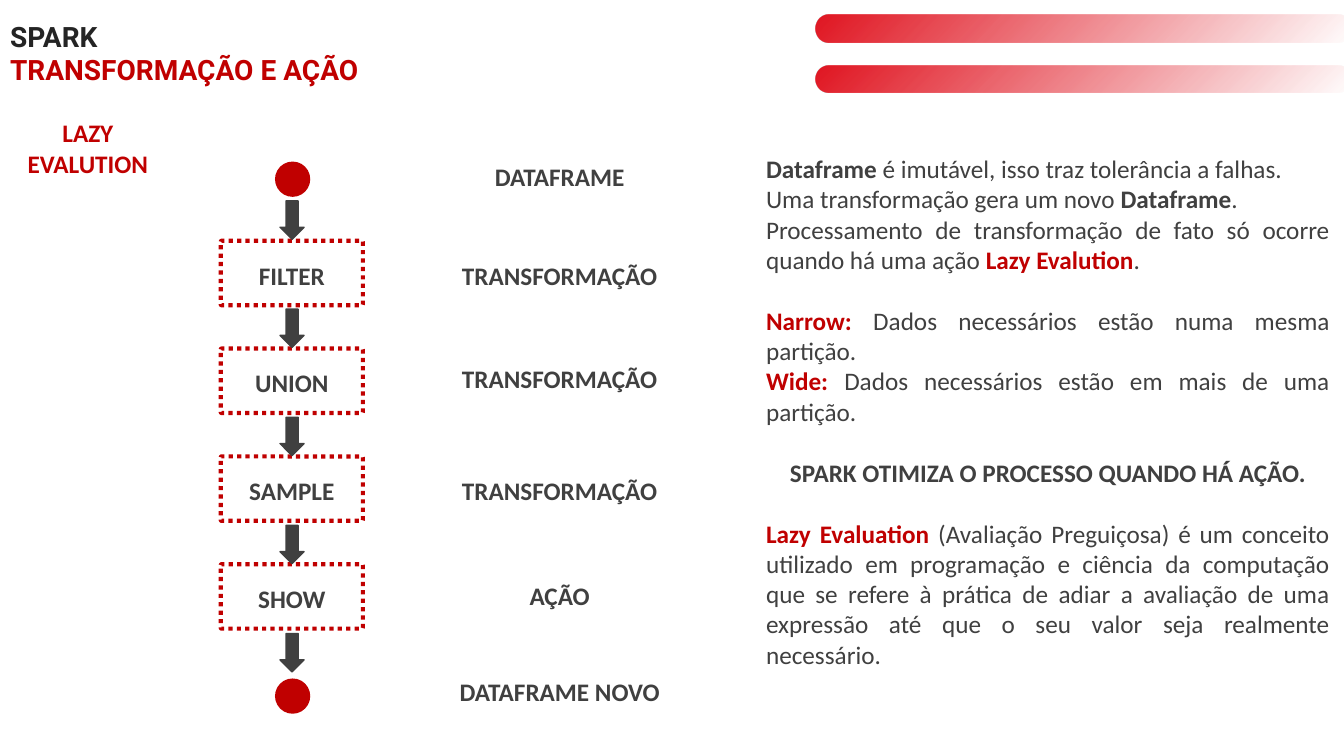
from dataclasses import dataclass
from typing import Any

from lxml.etree import SubElement
from pptx import Presentation
from pptx.dml.color import RGBColor as RGB
from pptx.enum.dml import MSO_LINE
from pptx.enum.shapes import MSO_SHAPE as SHAPE
from pptx.enum.text import MSO_ANCHOR as ANCHOR, MSO_AUTO_SIZE as AUTO, PP_ALIGN as ALIGN
from pptx.oxml import parse_xml
from pptx.oxml.ns import nsdecls, qn
from pptx.util import Pt

COLORS = {"red": "C00000", "pill": "E11622", "gray": "404040", "black": "242424"}
TEXT = {"name": "Calibri", "size": Pt(18)}
TITLE = {"name": "Roboto", "size": Pt(20)}
BLANK_LINE = 22


@dataclass(frozen=True)
class Box:
    left: float
    top: float
    width: float
    height: float

    def lengths(self) -> list[Pt]:
        return [Pt(v) for v in (self.left, self.top, self.width, self.height)]


@dataclass(frozen=True)
class Run:
    text: str
    color: str = "gray"
    bold: bool = False


@dataclass(frozen=True)
class Para:
    runs: tuple[Run, ...]
    align: Any = ALIGN.JUSTIFY
    before: float = 0


@dataclass(frozen=True)
class Label:
    text: str
    top: float


def set_all(target: Any, values: dict[str, Any]) -> None:
    for name, value in values.items():
        setattr(target, name, value)


def write(tf: Any, paras: list[Para], font: dict[str, Any], anchor: Any = ANCHOR.TOP,
          auto: Any = AUTO.SHAPE_TO_FIT_TEXT) -> None:
    set_all(tf, {"word_wrap": True, "auto_size": auto, "vertical_anchor": anchor})
    for i, para in enumerate(paras):
        p = tf.paragraphs[0] if i == 0 else tf.add_paragraph()
        set_all(p, {"alignment": para.align, "space_before": Pt(para.before)})
        for run in para.runs:
            r = p.add_run()
            r.text = run.text
            set_all(r.font, {**font, "bold": run.bold})
            r.font.color.rgb = RGB.from_string(COLORS[run.color])


def heading(text: str, color: str = "gray", align: Any = ALIGN.CENTER) -> Para:
    return Para((Run(text, color, True),), align)


def place(sp: Any, box: Box) -> None:
    set_all(sp, dict(zip(("left", "top", "width", "height"), box.lengths())))


def add_text(slide: Any, box: Box, paras: list[Para]) -> None:
    write(slide.shapes.add_textbox(*box.lengths()).text_frame, paras, TEXT)


def add_shape(slide: Any, kind: Any, box: Box, fill: str = "", line: str = "", weight: float = 1) -> Any:
    sp = slide.shapes.add_shape(kind, *box.lengths())
    sp.shadow.inherit = False
    if fill:
        sp.fill.solid()
        sp.fill.fore_color.rgb = RGB.from_string(COLORS[fill])
    else:
        sp.fill.background()
    if line:
        sp.line.color.rgb = RGB.from_string(COLORS[line])
        sp.line.width = Pt(weight)
    else:
        sp.line.fill.background()
    return sp


def add_pill(slide: Any, box: Box) -> None:
    """Draw a rounded bar that fades out towards its right end."""
    sp = add_shape(slide, SHAPE.ROUNDED_RECTANGLE, box)
    sp.adjustments[0] = 0.5
    stops = "".join(
        f'<a:gs pos="{n * 1000}"><a:srgbClr val="{COLORS["pill"]}">'
        f'<a:alpha val="{n * 1000}"/></a:srgbClr></a:gs>' for n in range(0, 101, 25))
    grad = parse_xml(
        f'<a:gradFill {nsdecls("a")} rotWithShape="1"><a:gsLst>{stops}</a:gsLst>'
        '<a:path path="circle"><a:fillToRect l="100000" t="100000"/></a:path></a:gradFill>')
    sp_pr = sp.element.spPr
    sp_pr.replace(sp_pr.find(qn("a:noFill")), grad)


def add_step(slide: Any, name: str, box: Box) -> None:
    sp = add_shape(slide, SHAPE.ROUNDED_RECTANGLE, box, line="red", weight=3)
    sp.adjustments[0] = 0.014
    sp.line.dash_style = MSO_LINE.ROUND_DOT
    write(sp.text_frame, [heading(name)], TEXT, ANCHOR.MIDDLE, AUTO.NONE)
    set_all(sp.text_frame, {"margin_top": Pt(5), "margin_bottom": Pt(2)})


def remove_bullets(tf: Any) -> None:
    for p in tf.paragraphs:
        p_pr = p._p.get_or_add_pPr()
        p_pr.set("marL", "0")
        p_pr.set("indent", "0")
        SubElement(p_pr, qn("a:buNone"))


BODY = [
    Para((Run("Dataframe", bold=True), Run(" é imutável, isso traz tolerância a falhas."))),
    Para((Run("Uma transformação gera um novo "), Run("Dataframe", bold=True), Run("."))),
    Para((Run("Processamento de transformação de fato só ocorre quando há uma ação "),
          Run("Lazy Evalution", "red", True), Run("."))),
    Para((Run("Narrow: ", "red", True), Run("Dados necessários estão numa mesma partição.")),
         before=BLANK_LINE),
    Para((Run("Wide: ", "red", True), Run("Dados necessários estão em mais de uma partição."))),
    Para((Run("SPARK OTIMIZA O PROCESSO QUANDO HÁ AÇÃO.", bold=True),), ALIGN.CENTER, BLANK_LINE),
    Para((Run("Lazy Evaluation ", "red", True),
          Run("(Avaliação Preguiçosa) é um conceito utilizado em programação e ciência da "
              "computação que se refere à prática de adiar a avaliação de uma expressão até "
              "que o seu valor seja realmente necessário.")), before=BLANK_LINE),
]
STEPS = ["FILTER", "UNION", "SAMPLE", "SHOW"]
STAGES = [Label("DATAFRAME", 111.6), Label("TRANSFORMAÇÃO", 182.2), Label("TRANSFORMAÇÃO", 255.6),
          Label("TRANSFORMAÇÃO", 336.2), Label("AÇÃO", 411.1), Label("DATAFRAME NOVO", 479.5)]


def main() -> None:
    prs = Presentation()
    set_all(prs, {"slide_width": Pt(960), "slide_height": Pt(540)})
    slide = prs.slides.add_slide(prs.slide_layouts[1])

    title, body = slide.placeholders
    place(title, Box(0, 10, 582.5, 55.4))
    write(title.text_frame, [heading("SPARK", "black", ALIGN.LEFT),
                             heading("TRANSFORMAÇÃO E AÇÃO", "red", ALIGN.LEFT)], TITLE, ANCHOR.MIDDLE)
    place(body, Box(540, 106, 417, 378))
    write(body.text_frame, BODY, TEXT)
    remove_bullets(body.text_frame)

    for top in (10.8, 46.6):
        add_pill(slide, Box(582.5, top, 383, 19.5))
    add_text(slide, Box(12, 80.6, 101.5, 51), [heading("LAZY", "red"), heading("EVALUTION", "red")])

    for i, name in enumerate(STEPS):
        add_step(slide, name, Box(157.7, 172 + 77 * i, 101.5, 46))
    for i in range(len(STEPS) + 1):
        add_shape(slide, SHAPE.DOWN_ARROW, Box(200, 143.5 + 77.25 * i, 17.2, 27.4), "gray", "gray")
    for top in (115.4, 484.6):
        add_shape(slide, SHAPE.OVAL, Box(196.4, top, 25.2, 25.2), "red")
    for stage in STAGES:
        add_text(slide, Box(309.4, stage.top, 180.7, 29), [heading(stage.text)])

    prs.save("out.pptx")


if __name__ == "__main__":
    main()
